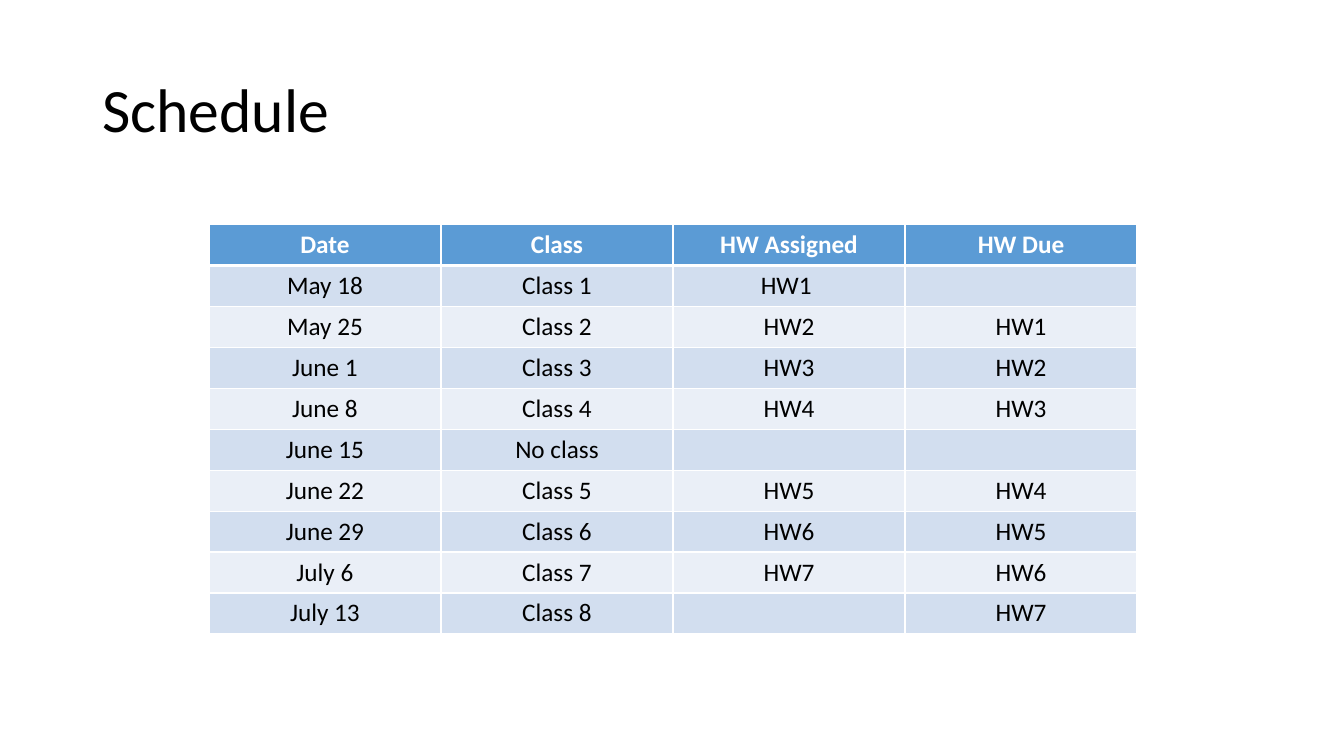
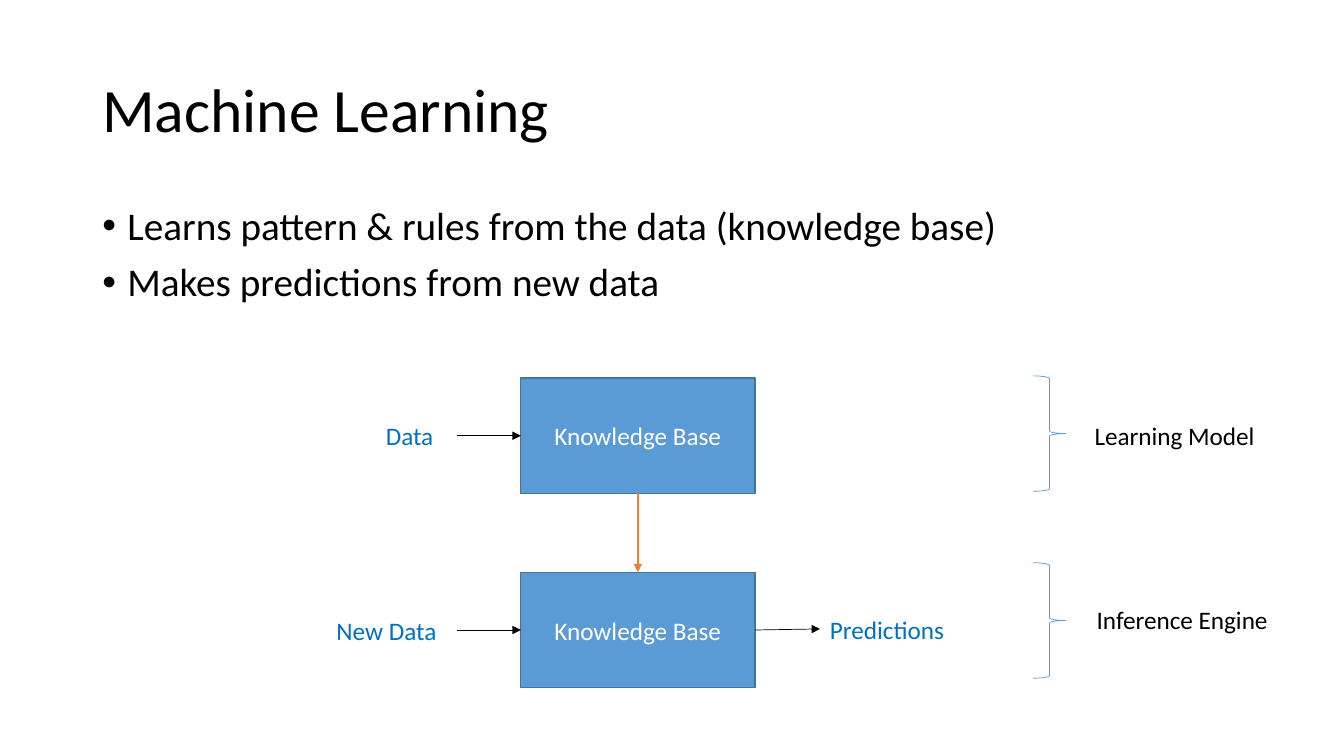
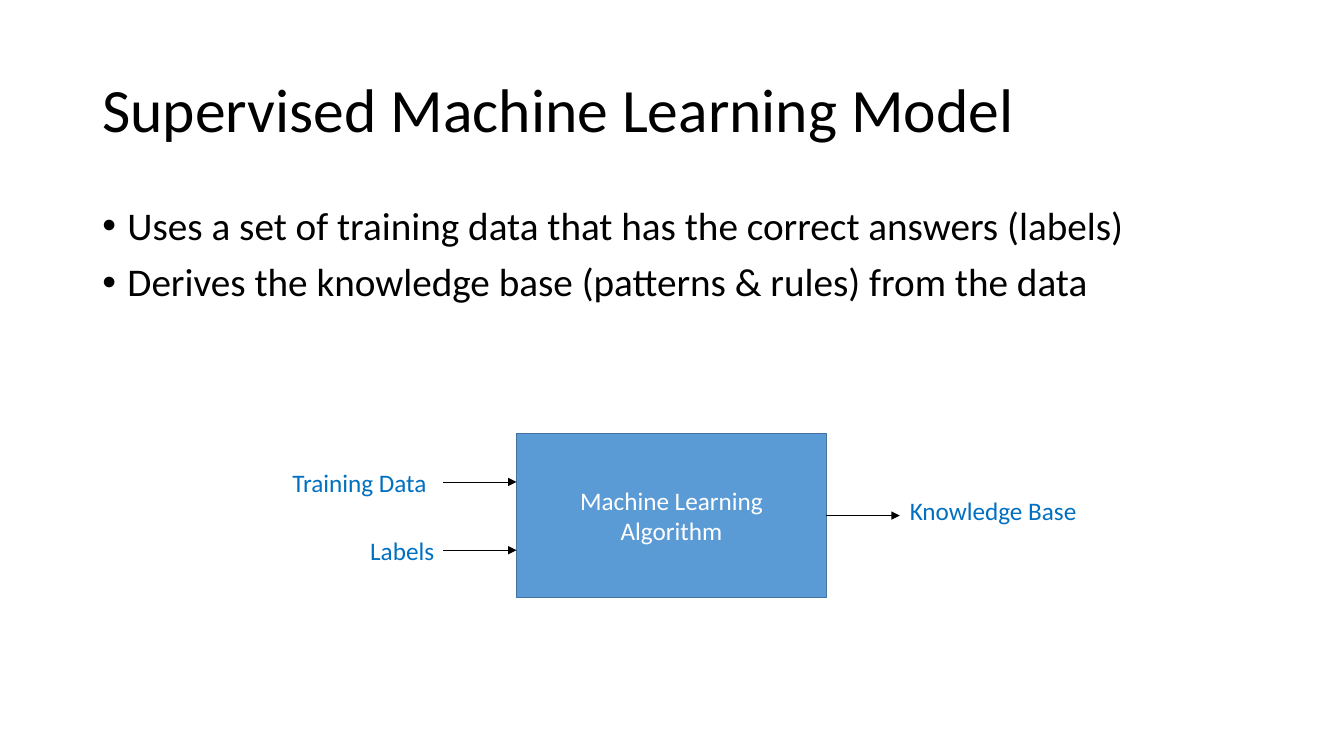
from dataclasses import dataclass

from lxml.etree import SubElement
from pptx import Presentation
from pptx.dml.color import RGBColor
from pptx.enum.shapes import MSO_CONNECTOR, MSO_SHAPE
from pptx.enum.text import MSO_ANCHOR, PP_ALIGN
from pptx.oxml.ns import qn
from pptx.util import Emu, Pt

PX = 9525  # 96 px to the inch


@dataclass(frozen=True)
class Theme:
    font: str = "Calibri"
    black: str = "000000"
    white: str = "FFFFFF"
    blue: str = "5B9BD5"
    outline: str = "43739E"
    label: str = "0070C0"
    orange: str = "ED7D31"
    bands: tuple = ("D2DEEF", "EAEFF7")
    title_size: int = 44
    body_size: int = 28
    small_size: int = 18


theme = Theme()


def px(*lengths):
    return [Emu(length * PX) for length in lengths]


def write(frame, lines, color, size=theme.small_size, bold=False, bulleted=False,
          paragraph_format=None, frame_format=None):
    for key, value in {"word_wrap": True, **(frame_format or {})}.items():
        setattr(frame, key, value)
    for index, line in enumerate(lines):
        paragraph = frame.paragraphs[0] if index == 0 else frame.add_paragraph()
        if bulleted:
            properties = paragraph._p.get_or_add_pPr()
            properties.set("marL", str(24 * PX))
            properties.set("indent", str(-24 * PX))
            SubElement(properties, qn("a:buFont"), typeface="Arial")
            SubElement(properties, qn("a:buChar"), char="•")
            if index:
                paragraph.space_before = Pt(10)
        for key, value in (paragraph_format or {}).items():
            setattr(paragraph, key, value)
        run = paragraph.add_run()
        run.text = line
        for key, value in {"name": theme.font, "size": Pt(size), "bold": bold}.items():
            setattr(run.font, key, value)
        run.font.color.rgb = RGBColor.from_string(color)


CENTERED = {"alignment": PP_ALIGN.CENTER}
RIGHT = {"alignment": PP_ALIGN.RIGHT}
TIGHT = {"line_spacing": 0.9}
MIDDLE = {"vertical_anchor": MSO_ANCHOR.MIDDLE}
TOP_SIDE, LEFT_SIDE, BOTTOM_SIDE, RIGHT_SIDE = range(4)

schedule = [
    ("Date", "Class", "HW Assigned", "HW Due"),
    ("May 18", "Class 1", "HW1 ", ""),
    ("May 25", "Class 2", "HW2", "HW1"),
    ("June 1", "Class 3", "HW3", "HW2"),
    ("June 8", "Class 4", "HW4", "HW3"),
    ("June 15", "No class", "", ""),
    ("June 22", "Class 5", "HW5", "HW4"),
    ("June 29", "Class 6", "HW6", "HW5"),
    ("July 6", "Class 7", "HW7", "HW6"),
    ("July 13", "Class 8", "", "HW7"),
]

# boxes: text, left, top, width, height
# labels: text, left, top, width, colour, paragraph format
# arrows: start, end, joined start (box, side), joined end, colour, points
thin_black = (theme.black, 0.5)
topics = [
    {"title": "Schedule", "table": schedule},
    {
        "title": "Machine Learning",
        "bullets": ["Learns pattern & rules from the data (knowledge base)",
                    "Makes predictions from new data"],
        "body_height": 457,
        "boxes": [("Knowledge Base", 496, top, 223, 110) for top in (360, 545)],
        "labels": [
            ("Data", 358, 396, 77, theme.label, None),
            ("New Data", 311, 581, 123, theme.label, None),
            ("Predictions", 781, 580, 140, theme.label, None),
            ("Learning Model", 1033, 396, 187, theme.black, None),
            ("Inference Engine", 1035, 571, 187, theme.black, None),
        ],
        "arrows": [
            ((435, 415), (496, 415), None, (0, LEFT_SIDE), *thin_black),
            ((435, 600), (496, 600), None, (1, LEFT_SIDE), *thin_black),
            ((719, 600), (781, 599), (1, RIGHT_SIDE), None, *thin_black),
            ((608, 470), (608, 545), (0, BOTTOM_SIDE), (1, TOP_SIDE), theme.orange, 1),
        ],
        "braces": [(984, top, 31, 110) for top in (358, 536)],
    },
    {
        "title": "Supervised Machine Learning Model",
        "bullets": ["Uses a set of training data that has the correct answers (labels)",
                    "Derives the knowledge base (patterns & rules) from the data"],
        "body_height": 171,
        "boxes": [("Machine Learning Algorithm", 492, 413, 295, 156)],
        "labels": [
            ("Training Data", 269, 440, 154, theme.label, None),
            ("Labels", 269, 505, 154, theme.label, RIGHT),
            ("Knowledge Base", 857, 467, 199, theme.label, None),
        ],
        "arrows": [
            ((422, 459), (492, 459), None, None, *thin_black),
            ((422, 524), (492, 524), None, None, *thin_black),
            ((787, 491), (857, 491), (0, RIGHT_SIDE), None, *thin_black),
        ],
    },
]

deck = Presentation()
deck.slide_width, deck.slide_height = px(1280, 720)

for topic in topics:
    slide = deck.slides.add_slide(deck.slide_layouts[6])
    shapes = slide.shapes
    title = shapes.add_textbox(*px(88, 38, 1104, 139))
    write(title.text_frame, [topic["title"]], theme.black, theme.title_size,
          paragraph_format=TIGHT, frame_format=MIDDLE)

    if "table" in topic:
        rows = topic["table"]
        columns = len(rows[0])
        table = shapes.add_table(len(rows), columns,
                                 *px(199, 214, 221 * columns, 39 * len(rows))).table
        for row_index, row in enumerate(rows):
            header = row_index == 0
            fill = theme.blue if header else theme.bands[(row_index - 1) % 2]
            borders = {"a:lnL": 1, "a:lnR": 1, "a:lnT": 3 if row_index == 1 else 1,
                       "a:lnB": 3 if header else 1}
            for column_index, text in enumerate(row):
                cell = table.cell(row_index, column_index)
                for tag, points in borders.items():
                    border = SubElement(cell._tc.get_or_add_tcPr(), qn(tag),
                                        w=str(Pt(points)))
                    paint = SubElement(border, qn("a:solidFill"))
                    SubElement(paint, qn("a:srgbClr"), val=theme.white)
                cell.fill.solid()
                cell.fill.fore_color.rgb = RGBColor.from_string(fill)
                if text:
                    write(cell.text_frame, [text],
                          theme.white if header else theme.black,
                          bold=header, paragraph_format=CENTERED)

    if "bullets" in topic:
        body = shapes.add_textbox(*px(88, 192, 1104, topic["body_height"]))
        write(body.text_frame, topic["bullets"], theme.black, theme.body_size,
              bulleted=True, paragraph_format=TIGHT)

    boxes = []
    for text, *place in topic.get("boxes", []):
        box = shapes.add_shape(MSO_SHAPE.RECTANGLE, *px(*place))
        box.shadow.inherit = False
        box.fill.solid()
        box.fill.fore_color.rgb = RGBColor.from_string(theme.blue)
        box.line.color.rgb = RGBColor.from_string(theme.outline)
        box.line.width = Pt(1)
        write(box.text_frame, [text], theme.white,
              paragraph_format=CENTERED, frame_format=MIDDLE)
        boxes.append(box)

    for text, left, top, width, color, paragraph_format in topic.get("labels", []):
        label = shapes.add_textbox(*px(left, top, width, 38))
        write(label.text_frame, [text], color, paragraph_format=paragraph_format)

    for start, end, joined_start, joined_end, color, points in topic.get("arrows", []):
        arrow = shapes.add_connector(MSO_CONNECTOR.STRAIGHT, *px(*start, *end))
        if joined_start:
            arrow.begin_connect(boxes[joined_start[0]], joined_start[1])
        if joined_end:
            arrow.end_connect(boxes[joined_end[0]], joined_end[1])
        arrow.line.color.rgb = RGBColor.from_string(color)
        arrow.line.width = Pt(points)
        SubElement(arrow.line._get_or_add_ln(), qn("a:tailEnd"), type="triangle")
        SubElement(arrow._element.spPr, qn("a:effectLst"))

    for place in topic.get("braces", []):
        brace = shapes.add_shape(MSO_SHAPE.RIGHT_BRACE, *px(*place))
        brace.shadow.inherit = False
        brace.fill.background()
        brace.line.color.rgb = RGBColor.from_string(theme.blue)
        brace.line.width = Pt(0.5)

deck.save("out.pptx")
